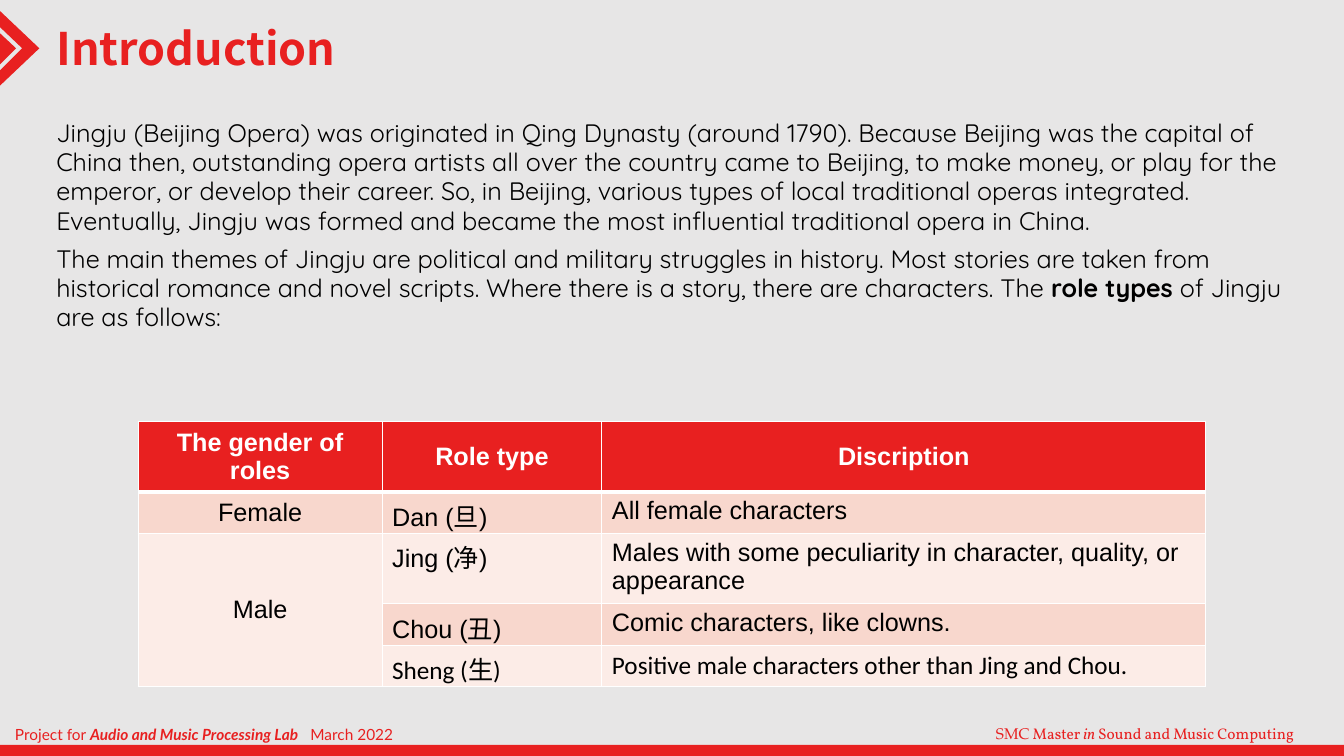
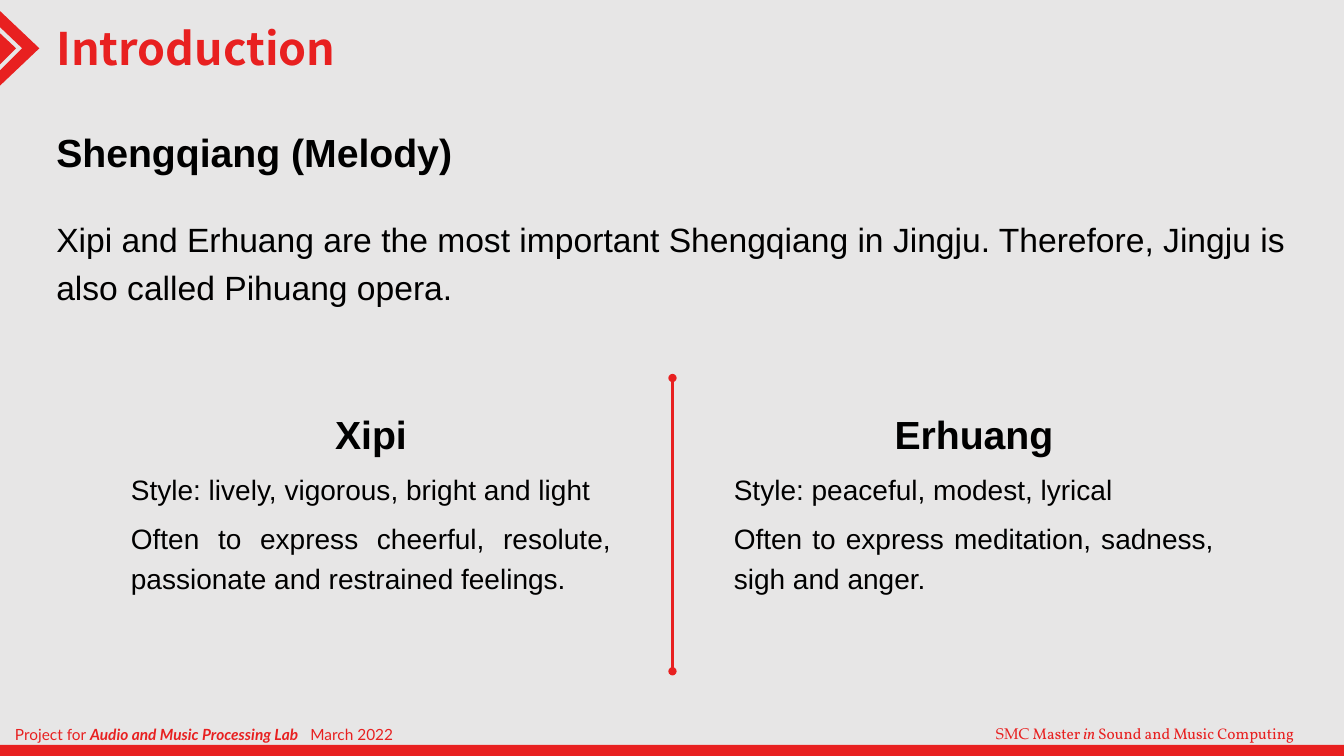
from lxml import etree
from pptx import Presentation
from pptx.dml.color import RGBColor
from pptx.enum.shapes import MSO_CONNECTOR, MSO_SHAPE
from pptx.enum.text import MSO_ANCHOR, MSO_AUTO_SIZE, PP_ALIGN
from pptx.oxml.ns import qn
from pptx.util import Inches, Pt

RED = RGBColor(0xE8, 0x20, 0x20)
GRAY = RGBColor(0xE7, 0xE6, 0xE6)
WHITE = RGBColor(0xFF, 0xFF, 0xFF)
BLACK = RGBColor(0, 0, 0)
PINK = RGBColor(0xF8, 0xD7, 0xCD)
PALE = RGBColor(0xFC, 0xEC, 0xE7)
LEFT, CENTER, JUSTIFY = PP_ALIGN.LEFT, PP_ALIGN.CENTER, PP_ALIGN.JUSTIFY
TOP, MIDDLE = MSO_ANCHOR.TOP, MSO_ANCHOR.MIDDLE


def format_runs(paragraph, font, size, color=BLACK, bold=False):
    for run in paragraph.runs:
        run.font.name = font
        run.font.size = Pt(size)
        run.font.color.rgb = color
        run.font.bold = bold


def add_text(slide, left, top, width, height, paragraphs):
    frame = slide.shapes.add_textbox(
        Inches(left), Inches(top), Inches(width), Inches(height)).text_frame
    frame.word_wrap = True
    for index, runs in enumerate(paragraphs):
        paragraph = frame.add_paragraph() if index else frame.paragraphs[0]
        for text in runs:
            paragraph.add_run().text = text
    return frame


prs = Presentation()
prs.slide_width = Inches(13.33)
prs.slide_height = Inches(7.5)
layout = prs.slide_layouts[5]
layout.background.fill.solid()
layout.background.fill.fore_color.rgb = GRAY

roles_slide, melody_slide = [prs.slides.add_slide(layout) for _ in range(2)]
for slide in (roles_slide, melody_slide):
    title = slide.shapes.title
    title.left, title.top = Inches(0.46), Inches(0.16)
    title.width, title.height = Inches(3.51), Inches(0.64)
    title.text_frame.text = "Introduction"
    title.text_frame.auto_size = MSO_AUTO_SIZE.NONE
    title.text_frame.vertical_anchor = TOP
    heading = title.text_frame.paragraphs[0]
    heading.alignment = LEFT
    format_runs(heading, "Noto Sans CJK SC", 32, RED, True)

band = roles_slide.shapes.add_shape(
    MSO_SHAPE.RECTANGLE, 0, Inches(7.39), prs.slide_width, Inches(0.11))
decorations = [band]
for outline in (
    [(0, 0.33), (0.16, 0.48), (0, 0.64)],
    [(0, 0.11), (0.39, 0.48), (0, 0.85), (0, 0.7), (0.22, 0.48), (0, 0.27)],
):
    points = [(Inches(x), Inches(y)) for x, y in outline]
    builder = roles_slide.shapes.build_freeform(*points[0])
    builder.add_line_segments(points[1:], close=True)
    decorations.append(builder.convert_to_shape())
for decoration in decorations:
    decoration.shadow.inherit = False
    decoration.fill.solid()
    decoration.fill.fore_color.rgb = RED
    decoration.line.fill.background()
    layout.shapes._spTree.append(decoration._element)

for left, width, runs, fonts, emphasis in (
    (0.05, 3.1, ["Project for ", "Audio and Music Processing Lab"],
     ["Lato", "Lato"], (True, True)),
    (2.98, 1.5, ["March 2022"], ["Lato"], None),
    (9.78, 3.47, ["SMC", " Master", " in", " Sound and Music Computing"],
     ["TeX Gyre Pagella", "Vollkorn", "Vollkorn", "Vollkorn"], (False, True)),
):
    footer = add_text(roles_slide, left, 7.09, width, 0.39, [runs])
    footer.margin_top = footer.margin_bottom = Inches(0.1)
    footer.vertical_anchor = MIDDLE if "Lato" in fonts else TOP
    credit = footer.paragraphs[0]
    format_runs(credit, "Lato", 11, RED)
    for run, font in zip(credit.runs, fonts):
        run.font.name = font
    if emphasis:
        stressed = credit.runs[2 if len(runs) > 2 else 1].font
        stressed.bold, stressed.italic = emphasis
    layout.shapes._spTree.append(footer._txBody.getparent())

history = add_text(roles_slide, 0.46, 1.13, 12.42, 2.71, [
    ["Jingju (Beijing Opera) was originated in Qing Dynasty (around 1790). "
     "Because Beijing was the capital of China then, outstanding opera artists "
     "all over the country came to Beijing, to make money, or play for the "
     "emperor, or develop their career. So, in Beijing, various types of local "
     "traditional operas integrated. Eventually, Jingju was formed and became "
     "the most influential traditional opera in China."],
    ["The main themes of Jingju are political and military struggles in "
     "history. Most stories are taken from historical romance and novel "
     "scripts. Where there is a story, there are characters. The ",
     "role types ", "of Jingju are as follows:"],
])
for paragraph in history.paragraphs:
    paragraph.line_spacing = 0.97
    format_runs(paragraph, "Quicksand", 18)
themes = history.paragraphs[1]
themes.space_before = Pt(6)
themes.runs[1].font.bold = True

role_rows = [
    ("The gender of roles", "Role type", "Discription"),
    ("Female", "Dan (旦)", "All female characters"),
    ("Male", "Jing (净)",
     "Males with some peculiarity in character, quality, or appearance"),
    ("", "Chou (丑)", "Comic characters, like clowns."),
    ("", "Sheng (生)", "Positive male characters other than Jing and Chou."),
]
row_fills = [RED, PINK, PALE, PINK, PALE]
row_heights = [0.69, 0.41, 0.7, 0.41, 0.41]
column_widths = [2.42, 2.18, 5.99]
roles = roles_slide.shapes.add_table(
    len(role_rows), len(column_widths), Inches(1.37), Inches(4.18),
    Inches(sum(column_widths)), Inches(sum(row_heights))).table
for column, width in zip(roles.columns, column_widths):
    column.width = Inches(width)
for r, texts in enumerate(role_rows):
    roles.rows[r].height = Inches(row_heights[r])
    for c, text in enumerate(texts):
        cell = roles.cell(r, c)
        cell.text = text
        cell.vertical_anchor = MIDDLE if r == 0 or c == 0 else TOP
        entry = cell.text_frame.paragraphs[0]
        entry.alignment = CENTER if r == 0 or c == 0 else LEFT
        format_runs(entry, "Calibri" if r == 4 else "Arial", 18,
                    BLACK if r else WHITE, r == 0)
        properties = cell._tc.get_or_add_tcPr()
        for side in "LRTB":
            thick = (r, side) in ((0, "B"), (1, "T"))
            border = etree.SubElement(properties, qn("a:ln" + side),
                                      w=str(Pt(3 if thick else 1)))
            paint = etree.SubElement(border, qn("a:solidFill"))
            etree.SubElement(paint, qn("a:srgbClr"), val=str(WHITE))
        cell.fill.solid()
        cell.fill.fore_color.rgb = row_fills[r]
roles.cell(2, 0).merge(roles.cell(4, 0))

melody = add_text(melody_slide, 0.46, 1.13, 12.42, 2.12, [
    ["Shengqiang (Melody)"],
    ["Xipi and Erhuang are the most important Shengqiang in Jingju. "
     "Therefore, Jingju is also called Pihuang opera."],
])
for paragraph, size, bold in zip(melody.paragraphs, (28, 24), (True, False)):
    paragraph.line_spacing = 1.2
    format_runs(paragraph, "Arial", size, bold=bold)
melody.paragraphs[1].space_before = Pt(25)

for left, name, style, feelings in (
    (1.2, "Xipi", "Style: lively, vigorous, bright and light",
     "Often to express cheerful, resolute, passionate and restrained feelings."),
    (7.18, "Erhuang", "Style: peaceful, modest, lyrical",
     "Often to express meditation, sadness, sigh and anger."),
):
    mode = add_text(melody_slide, left, 3.93, 4.96, 2.12,
                    [[name], [style], [feelings]])
    for index, paragraph in enumerate(mode.paragraphs):
        paragraph.line_spacing = 1.2
        paragraph.alignment = JUSTIFY if index else CENTER
        paragraph.space_before = Pt(6 if index else 0)
        format_runs(paragraph, "Arial", 20 if index else 28, bold=index == 0)

divider = melody_slide.shapes.add_connector(
    MSO_CONNECTOR.STRAIGHT, Inches(6.67), Inches(3.75), Inches(6.67), Inches(6.66))
divider.line.color.rgb = RED
divider.line.width = Pt(1.5)
stroke = divider.line._get_or_add_ln()
for end in ("a:headEnd", "a:tailEnd"):
    etree.SubElement(stroke, qn(end), type="oval")
etree.SubElement(divider._element.spPr, qn("a:effectLst"))

prs.save("out.pptx")
